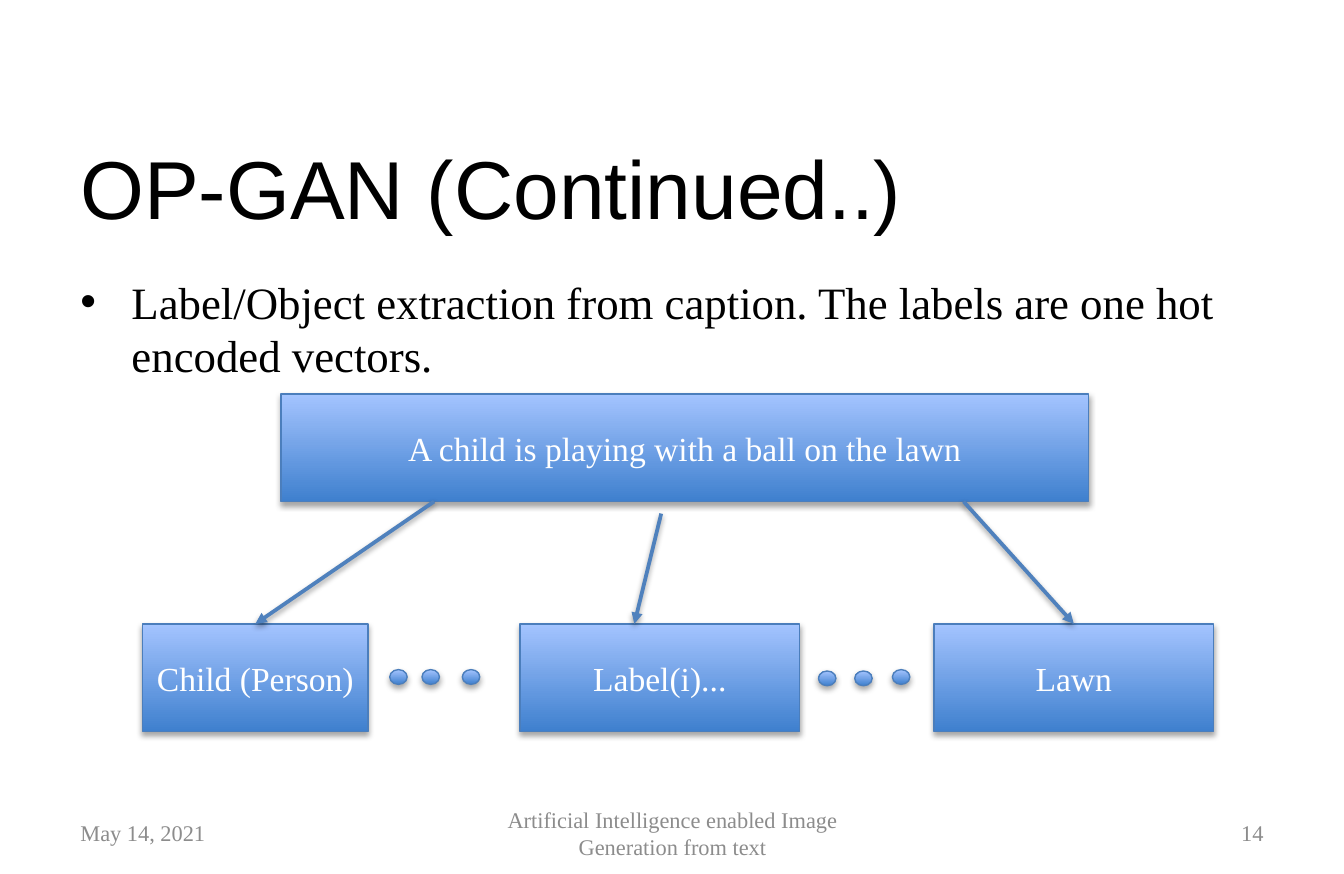
from dataclasses import dataclass

from lxml.etree import SubElement
from pptx import Presentation
from pptx.dml.color import RGBColor
from pptx.enum.shapes import MSO_CONNECTOR, MSO_SHAPE
from pptx.enum.text import MSO_ANCHOR as Anchor, PP_ALIGN as Align
from pptx.oxml.ns import qn
from pptx.util import Emu, Pt

PX = 9144  # 100 px to the inch
SERIF = "Times New Roman"
GREY = "8C8C8C"
LABEL_TOP, LABEL_HEIGHT = 464, 80
DOT_WIDTH, DOT_HEIGHT = 13, 11


@dataclass(frozen=True)
class Label:
    text: str
    left: int
    top: int
    width: int
    height: int
    size: int = 12
    color: str = GREY
    font: str = SERIF
    align: Align = Align.LEFT
    anchor: Anchor = Anchor.MIDDLE
    bullet: bool = False


@dataclass(frozen=True)
class Arrow:
    start: tuple[int, int]
    end: tuple[int, int]


TITLE = Label("OP-GAN (Continued..)", 50, 88, 900, 101, 44, "000000", "Arial")
BODY = Label(
    "Label/Object extraction from caption. The labels are one hot encoded vectors.",
    50, 199, 901, 87, 24, "000000", anchor=Anchor.TOP, bullet=True,
)
FOOTERS = [
    Label("May 14, 2021", 50, 602, 233, 35),
    Label("Artificial Intelligence enabled Image Generation from text",
          342, 602, 317, 35, align=Align.CENTER),
    Label("14", 717, 602, 233, 35, align=Align.RIGHT),
]
BLOCKS = [
    Label(text, left, top, width, LABEL_HEIGHT, 18, "FFFFFF", align=Align.CENTER)
    for text, left, top, width in [
        ("A child is playing with a ball on the lawn", 209, 293, 601),
        ("Label(i)...", 387, LABEL_TOP, 208),
        ("Child (Person)", 106, LABEL_TOP, 168),
        ("Lawn", 695, LABEL_TOP, 208),
    ]
]
ARROWS = [
    Arrow((323, 373), (190, LABEL_TOP)),
    Arrow((492, 382), (472, LABEL_TOP)),
    Arrow((717, 373), (799, LABEL_TOP)),
]
DOTS = [(290, 498), (314, 498), (344, 498), (609, 499), (636, 499), (664, 498)]


def px(*lengths: int) -> list[Emu]:
    return [Emu(length * PX) for length in lengths]


def rgb(color: str) -> RGBColor:
    return RGBColor.from_string(color)


def write_text(shape, label: Label) -> None:
    frame = shape.text_frame
    frame.word_wrap = True
    frame.vertical_anchor = label.anchor
    para = frame.paragraphs[0]
    para.text = label.text
    para.alignment = label.align
    if label.bullet:
        props = para._p.get_or_add_pPr()
        indent = 38 * PX
        props.set("marL", str(indent))
        props.set("indent", str(-indent))
        SubElement(props, qn("a:buFont"), typeface="Arial")
        SubElement(props, qn("a:buChar"), char="•")
    para.font.name = label.font
    para.font.size = Pt(label.size)
    para.font.color.rgb = rgb(label.color)


def add_text(page, label: Label) -> None:
    box = page.shapes.add_textbox(*px(label.left, label.top, label.width, label.height))
    write_text(box, label)


def add_shadow(shape, distance: int, opacity: int) -> None:
    """Put a soft shadow below a shape whose line is already set."""
    effects = SubElement(shape._element.spPr, qn("a:effectLst"))
    shadow = SubElement(effects, qn("a:outerShdw"), blurRad="40000",
                        dist=str(distance), dir="5400000", rotWithShape="0")
    color = SubElement(shadow, qn("a:srgbClr"), val="000000")
    SubElement(color, qn("a:alpha"), val=str(opacity * 1000))


def add_glossy_shape(page, kind: MSO_SHAPE, left: int, top: int, width: int, height: int):
    shape = page.shapes.add_shape(kind, *px(left, top, width, height))
    shape.fill.gradient()
    shape.fill.gradient_angle = 90
    for stop, color in zip(shape.fill.gradient_stops, ("3F80CE", "A4C4FF")):
        stop.color.rgb = rgb(color)
    shape.line.color.rgb = rgb("4B7EBC")
    shape.line.width = Pt(0.75)
    add_shadow(shape, 23000, 35)
    return shape


def add_block(page, label: Label) -> None:
    block = add_glossy_shape(page, MSO_SHAPE.RECTANGLE,
                             label.left, label.top, label.width, label.height)
    write_text(block, label)


def add_arrow(page, arrow: Arrow) -> None:
    line = page.shapes.add_connector(MSO_CONNECTOR.STRAIGHT, *px(*arrow.start, *arrow.end))
    line.line.color.rgb = rgb("4F81BD")
    line.line.width = Pt(2)
    SubElement(line._element.spPr.find(qn("a:ln")), qn("a:tailEnd"), type="triangle")
    add_shadow(line, 20000, 38)


def main() -> None:
    deck = Presentation()
    deck.slide_width, deck.slide_height = px(1000, 650)
    page = deck.slides.add_slide(deck.slide_layouts[6])
    for label in [TITLE, BODY, *FOOTERS]:
        add_text(page, label)
    for label in BLOCKS:
        add_block(page, label)
    for arrow in ARROWS:
        add_arrow(page, arrow)
    for left, top in DOTS:
        add_glossy_shape(page, MSO_SHAPE.OVAL, left, top, DOT_WIDTH, DOT_HEIGHT)
    deck.save("out.pptx")


if __name__ == "__main__":
    main()
